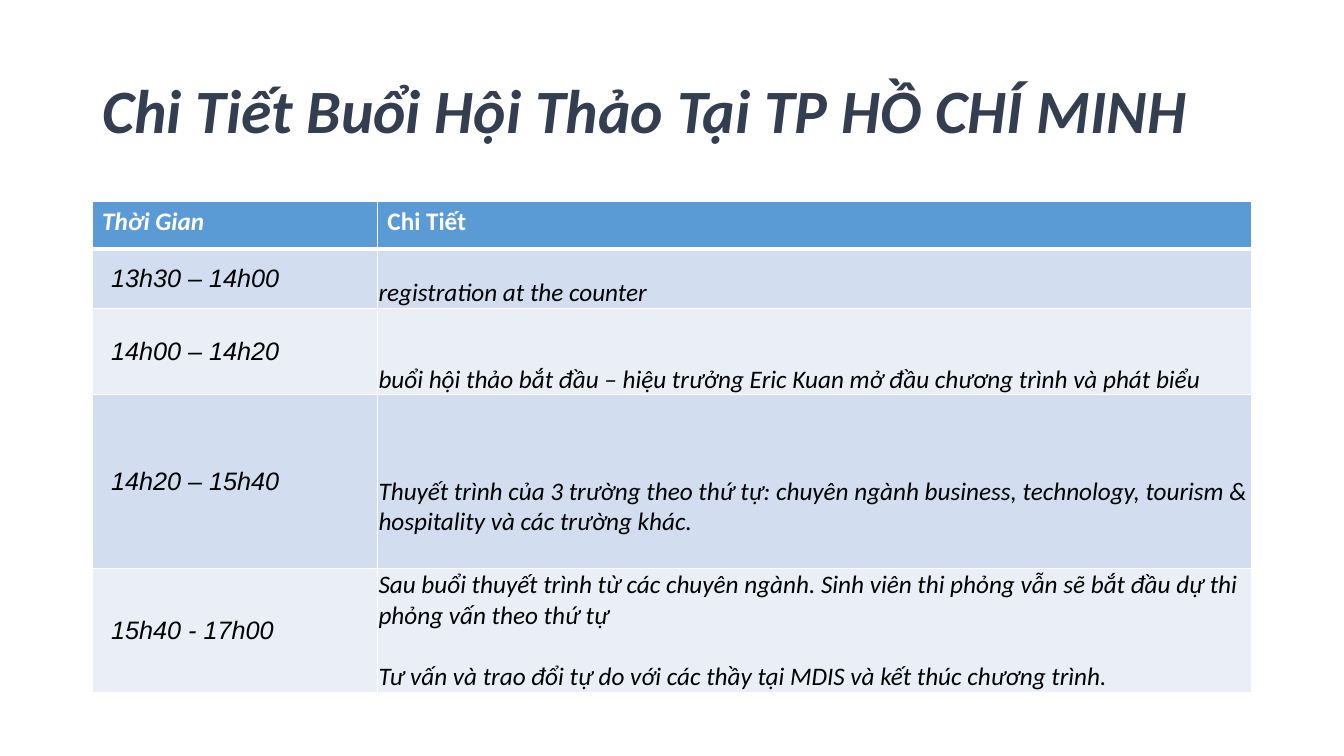
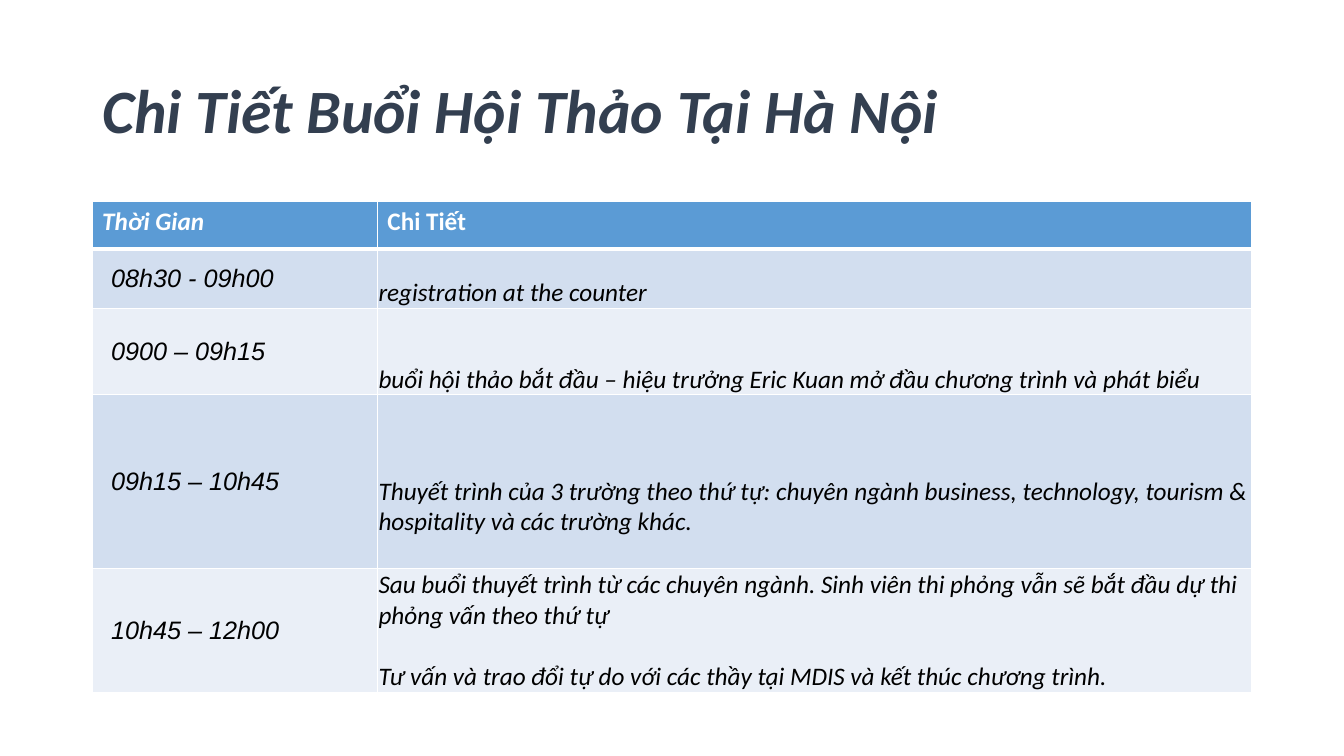
from dataclasses import dataclass

from lxml.etree import SubElement
from pptx import Presentation
from pptx.dml.color import RGBColor
from pptx.enum.text import MSO_ANCHOR, MSO_AUTO_SIZE, PP_ALIGN
from pptx.oxml.ns import qn
from pptx.util import Cm, Pt

# Shared look
NAVY, BLUE, WHITE, BLACK = "333F50", "5B9BD5", "FFFFFF", "000000"
BANDS = ("D2DEEF", "EAEFF7")
BODY_FONT, TIME_FONT = "Calibri", "Arial"
BODY_SIZE, TITLE_SIZE = 18, 44
LINE_HEIGHT = 22  # points taken by one line of body text

# Shared layout, in centimetres
TITLE_BOX = (2.33, 1.01, 29.21, 3.68)
TABLE_LEFT, TABLE_TOP = 2.32, 5.08
COLUMN_WIDTHS = (7.19, 22.02)
HEADER_HEIGHT = 1.19
TIGHT, TIME_INDENT = 0.03, 0.48

HEADINGS = ("Thời Gian", "Chi Tiết")


@dataclass(frozen=True)
class Activity:
    height: float
    details: tuple[str, ...]
    gap_below: float = 0


@dataclass(frozen=True)
class Seminar:
    title: str
    times: tuple[str, ...]


# Both seminars follow the same programme
PROGRAMME = (
    Activity(1.5, ("registration at the counter",)),
    Activity(2.18, ("buổi hội thảo bắt đầu – hiệu trưởng Eric Kuan mở đầu "
                    "chương trình và phát biểu",)),
    Activity(4.37, ("Thuyết trình của 3 trường theo thứ tự: chuyên ngành business, "
                    "technology, tourism & hospitality và các trường khác.",), 0.77),
    Activity(3.12, ("Sau buổi thuyết trình từ các chuyên ngành. Sinh viên thi phỏng vẫn "
                    "sẽ bắt đầu dự thi phỏng vấn theo thứ tự",
                    "Tư vấn và trao đổi tự do với các thầy tại MDIS và kết thúc "
                    "chương trình.")),
)
SEMINARS = (
    Seminar("Chi Tiết Buổi Hội Thảo Tại TP HỒ CHÍ MINH",
            ("13h30 – 14h00", "14h00 – 14h20", "14h20 – 15h40", "15h40 - 17h00")),
    Seminar("Chi Tiết Buổi Hội Thảo Tại Hà Nội",
            ("08h30 - 09h00", "0900 – 09h15", "09h15 – 10h45", "10h45 – 12h00")),
)


def rgb(value: str) -> RGBColor:
    return RGBColor.from_string(value)


def style_text(frame, font: str, size: float, color: str,
               bold: bool = False, italic: bool = True) -> None:
    for paragraph in frame.paragraphs:
        for run in paragraph.runs:
            run.font.name = font
            run.font.size = Pt(size)
            run.font.bold = bold
            run.font.italic = italic
            run.font.color.rgb = rgb(color)


def add_borders(cell, top: float = 1, bottom: float = 1) -> None:
    """Draw white cell borders with widths in points."""
    properties = cell._tc.get_or_add_tcPr()
    for side, width in (("L", 1), ("R", 1), ("T", top), ("B", bottom)):
        line = SubElement(properties, qn(f"a:ln{side}"), w=str(Pt(width)))
        SubElement(SubElement(line, qn("a:solidFill")), qn("a:srgbClr"), val=WHITE)


def fill_cell(cell, color: str) -> None:
    cell.fill.solid()
    cell.fill.fore_color.rgb = rgb(color)


def set_margins(cell, left: float, bottom: float = 0) -> None:
    cell.margin_left = Cm(left)
    cell.margin_top = cell.margin_right = Cm(TIGHT)
    cell.margin_bottom = Cm(bottom)


def add_title(slide, text: str) -> None:
    title = slide.shapes.title
    title.left, title.top, title.width, title.height = map(Cm, TITLE_BOX)
    frame = title.text_frame
    frame.text = text
    frame.auto_size = MSO_AUTO_SIZE.NONE
    frame.vertical_anchor = MSO_ANCHOR.MIDDLE
    frame.paragraphs[0].alignment = PP_ALIGN.LEFT
    frame.paragraphs[0].line_spacing = 0.9
    style_text(frame, BODY_FONT, TITLE_SIZE, NAVY, bold=True)


def add_schedule(slide, times: tuple[str, ...]) -> None:
    heights = (HEADER_HEIGHT, *(activity.height for activity in PROGRAMME))
    schedule = slide.shapes.add_table(
        len(heights), len(COLUMN_WIDTHS), Cm(TABLE_LEFT), Cm(TABLE_TOP),
        Cm(sum(COLUMN_WIDTHS)), Cm(sum(heights))).table
    for column, width in zip(schedule.columns, COLUMN_WIDTHS):
        column.width = Cm(width)
    for row, height in zip(schedule.rows, heights):
        row.height = Cm(height)

    # Header row
    for index, heading in enumerate(HEADINGS):
        cell = schedule.cell(0, index)
        cell.text_frame.text = heading
        style_text(cell.text_frame, BODY_FONT, BODY_SIZE, WHITE,
                   bold=True, italic=index == 0)
        add_borders(cell, bottom=3)
        fill_cell(cell, BLUE)

    # Activity rows
    for row, (time, activity) in enumerate(zip(times, PROGRAMME), start=1):
        time_cell, detail_cell = schedule.cell(row, 0), schedule.cell(row, 1)
        for cell in (time_cell, detail_cell):
            add_borders(cell, top=3 if row == 1 else 1)
            fill_cell(cell, BANDS[(row - 1) % len(BANDS)])

        time_cell.text_frame.text = time
        time_cell.vertical_anchor = MSO_ANCHOR.MIDDLE
        set_margins(time_cell, TIME_INDENT)
        style_text(time_cell.text_frame, TIME_FONT, BODY_SIZE, BLACK)

        details = detail_cell.text_frame
        details.text = "\n".join(activity.details)
        for paragraph in details.paragraphs[1:]:
            paragraph.space_before = Pt(LINE_HEIGHT)
        detail_cell.vertical_anchor = MSO_ANCHOR.BOTTOM
        set_margins(detail_cell, TIGHT, activity.gap_below)
        style_text(details, BODY_FONT, BODY_SIZE, BLACK)


def main() -> None:
    deck = Presentation()
    deck.slide_width, deck.slide_height = Cm(33.87), Cm(19.05)
    title_only = deck.slide_layouts[5]
    for seminar in SEMINARS:
        slide = deck.slides.add_slide(title_only)
        add_title(slide, seminar.title)
        add_schedule(slide, seminar.times)
    deck.save("out.pptx")


if __name__ == "__main__":
    main()
